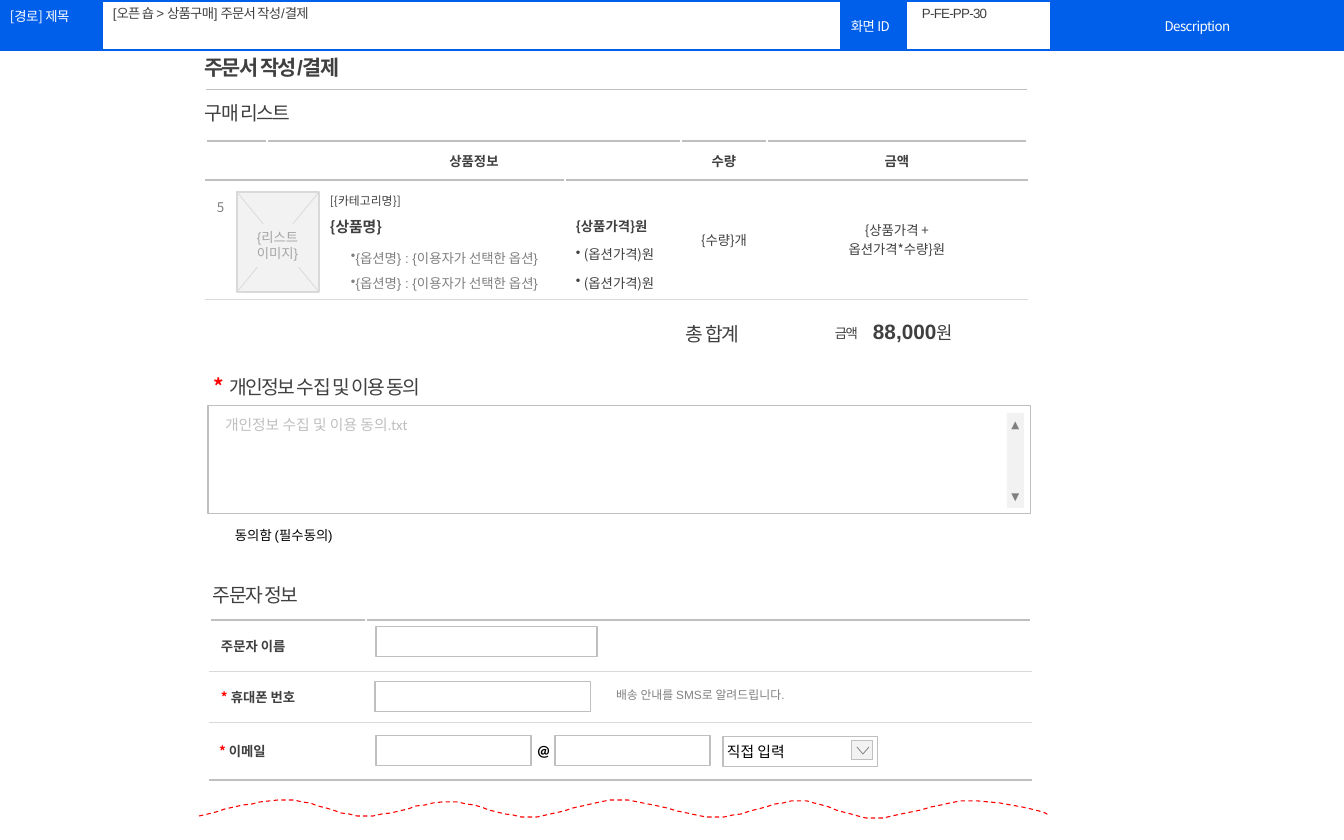
from lxml import etree
from pptx import Presentation
from pptx.dml.color import RGBColor
from pptx.enum.dml import MSO_LINE
from pptx.enum.shapes import MSO_CONNECTOR, MSO_SHAPE
from pptx.enum.text import MSO_ANCHOR, PP_ALIGN
from pptx.oxml.ns import qn
from pptx.util import Emu, Pt

PX = 8572.5
LEFT, CENTER = PP_ALIGN.LEFT, PP_ALIGN.CENTER
TOP, MIDDLE = MSO_ANCHOR.TOP, MSO_ANCHOR.MIDDLE
RECT, STRAIGHT = MSO_SHAPE.RECTANGLE, MSO_CONNECTOR.STRAIGHT
DASH = MSO_LINE.DASH
NOTO, ARIAL, CALIBRI = "Noto Sans CJK KR", "Arial", "Calibri"
INK = {"blue": "005FEA", "white": "FFFFFF", "black": "000000",
       "dark": "404040", "gray": "808080", "mute": "A6A6A6",
       "line": "BFBFBF", "pale": "D9D9D9", "fog": "F2F2F2", "red": "FF0000"}
PAD = (11, 5, 11, 5)
SLIM = (9, 0, 9, 0)
TIGHT = (4, 4, 4, 4)
WAVE = [(199, 816), (228, 809), (258, 800), (286, 800), (314, 800), (337, 816),
        (365, 816), (393, 816), (423, 801), (450, 802), (477, 802), (501, 817),
        (529, 817), (557, 817), (588, 800), (619, 800), (650, 800), (685, 817),
        (715, 817), (745, 817), (772, 801), (799, 801), (826, 801), (846, 818),
        (874, 818), (902, 818), (939, 801), (969, 801), (997, 801), (1056, 811),
        (1046, 816)]


def px(n):
    return Emu(round(n * PX))


def rgb(name):
    return RGBColor.from_string(INK[name])


def word(text, size=9, ink="dark", bold=False, face=NOTO, track=0):
    return dict(text=text, size=size, ink=ink, bold=bold, face=face, track=track)


def para(*words, align=LEFT, lead=None, before=0, after=0, dot=None):
    """Describe a paragraph; dot is the (margin, indent) of a bullet in px."""
    return dict(words=words, align=align, lead=lead, before=before,
                after=after, dot=dot)


def add_run(p, text, size, ink, bold, face, track):
    for i, part in enumerate(text.split("\n")):
        if i:
            p.add_line_break()
            etree.SubElement(p._p[-1], qn("a:rPr"), sz=str(size * 100))
        run = p.add_run()
        run.text = part
        font = run.font
        font.size, font.bold, font.name = Pt(size), bold, face
        font.color.rgb = rgb(ink)
        props = run._r.get_or_add_rPr()
        etree.SubElement(props, qn("a:ea"), typeface=NOTO)
        if track:
            props.set("spc", str(round(track * 100)))


def write(frame, paras):
    for i, item in enumerate(paras):
        p = frame.add_paragraph() if i else frame.paragraphs[0]
        p.alignment = item["align"]
        if item["lead"]:
            p.line_spacing = item["lead"]
        if item["before"]:
            p.space_before = Pt(item["before"])
        if item["after"]:
            p.space_after = Pt(item["after"])
        if item["dot"]:
            props = p._p.get_or_add_pPr()
            for key, n in zip(("marL", "indent"), item["dot"]):
                props.set(key, str(px(n)))
            etree.SubElement(props, qn("a:buChar"), char="•")
        for w in item["words"]:
            add_run(p, **w)


def set_pad(box, pad):
    box.margin_left, box.margin_top, box.margin_right, box.margin_bottom = map(px, pad)


def fill_frame(shape, paras, pad, anchor, wrap):
    frame = shape.text_frame
    frame.word_wrap, frame.vertical_anchor = wrap, anchor
    set_pad(frame, pad)
    write(frame, paras)


def label(slide, at, *paras, pad=PAD, anchor=TOP, wrap=True):
    fill_frame(slide.shapes.add_textbox(*map(px, at)), paras, pad, anchor, wrap)


def box(slide, at, *paras, fill="white", line="line", width=0.75, pad=TIGHT):
    shape = slide.shapes.add_shape(RECT, *map(px, at))
    shape.shadow.inherit = False
    shape.fill.solid()
    shape.fill.fore_color.rgb = rgb(fill)
    if line:
        shape.line.color.rgb = rgb(line)
        shape.line.width = Pt(width)
    else:
        shape.line.fill.background()
    if paras:
        fill_frame(shape, paras, pad, MIDDLE, False)


def rule(slide, ends, ink):
    line = slide.shapes.add_connector(STRAIGHT, *map(px, ends))
    line.line.color.rgb = rgb(ink)
    line.line.width = Pt(0.5)
    etree.SubElement(line._element.spPr, qn("a:effectLst"))


def trace(slide, points, ink, width, dash=None):
    pen = slide.shapes.build_freeform(*points[0], scale=PX)
    pen.add_line_segments(points[1:], close=False)
    shape = pen.convert_to_shape()
    shape.shadow.inherit = False
    shape.fill.background()
    shape.line.color.rgb = rgb(ink)
    shape.line.width = Pt(width)
    if dash:
        shape.line.dash_style = dash


def curve(knots, steps=10):
    """Sample a chain of cubic Bezier arcs."""
    points = [knots[0]]
    for i in range(0, len(knots) - 1, 3):
        for k in range(1, steps + 1):
            t = k / steps
            parts = ((1 - t) ** 3, 3 * t * (1 - t) ** 2, 3 * t * t * (1 - t), t ** 3)
            points.append(tuple(sum(c * q[axis] for c, q in zip(parts, knots[i:i + 4]))
                                for axis in (0, 1)))
    return points


def grid(slide, left, top, cols, rows):
    """Add a plain white table whose empty cells keep a small line height."""
    frame = slide.shapes.add_table(len(rows), len(cols), px(left), px(top),
                                   px(sum(cols)), px(sum(rows)))
    table = frame.table
    table.first_row = table.horz_banding = False
    for col, n in zip(table.columns, cols):
        col.width = px(n)
    for row, n in zip(table.rows, rows):
        row.height = px(n)
    for cell in table.iter_cells():
        etree.SubElement(cell.text_frame.paragraphs[0]._p, qn("a:endParaRPr"), sz="900")
        paint(cell, "white")
    return table


def paint(cell, ink):
    cell.fill.solid()
    cell.fill.fore_color.rgb = rgb(ink)


def edge(cell, **sides):
    """Draw cell borders, given in the order L, R, T, B as (ink, points)."""
    props = cell._tc.get_or_add_tcPr()
    for i, (side, (ink, width)) in enumerate(sides.items()):
        line = etree.Element(qn("a:ln" + side), w=str(Pt(width)))
        solid = etree.SubElement(line, qn("a:solidFill"))
        etree.SubElement(solid, qn("a:srgbClr"), val=INK[ink])
        props.insert(i, line)


def put(cell, *paras, pad=PAD, anchor=MIDDLE):
    cell.vertical_anchor = anchor
    set_pad(cell, pad)
    write(cell.text_frame, paras)


def head(slide):
    table = grid(slide, 0, 1, (102, 739, 65, 145, 293), (49,))
    side = ("blue", 1)
    for cell in table.iter_cells():
        edge(cell, L=side, R=side, T=side, B=side)
    for col, text, align, anchor in ((0, "[경로] 제목", LEFT, TOP), (2, "화면 ID", LEFT, MIDDLE),
                                     (4, "Description", CENTER, MIDDLE)):
        cell = table.cell(0, col)
        paint(cell, "blue")
        put(cell, para(word(text, ink="white", track=-0.4), align=align),
            pad=(10, 5, 10, 5), anchor=anchor)
    for at, text in (((911, 1, 138, 26), "P-FE-PP-30"),
                     ((102, 0, 737, 28), "[오픈 숍 > 상품구매] 주문서 작성/결제")):
        label(slide, at, para(word(text, face=ARIAL, track=-0.5), lead=0.9), anchor=MIDDLE)


def titles(slide):
    label(slide, (204, 55, 325, 26),
          para(word("주문서 작성/결제", 14, bold=True, face=ARIAL, track=-1)), pad=(0, 0, 0, 0))
    rule(slide, (206, 89, 1027, 89), "line")
    for at, text in (((196, 101, 416, 24), "구매 리스트"), ((204, 583, 163, 24), "주문자 정보")):
        label(slide, at, para(word(text, 13, track=-1)), pad=SLIM)


def goods(slide):
    table = grid(slide, 206, 141, (61, 298, 116, 86, 260), (39, 119))
    table.cell(0, 1).merge(table.cell(0, 2))
    for col in range(5):
        edge(table.cell(0, col), T=("line", 1), B=("line", 1))
        edge(table.cell(1, col), T=("line", 1), B=("pale", 0.5))
    for col, text in ((1, "상품정보"), (3, "수량"), (4, "금액")):
        put(table.cell(0, col), para(word(text, bold=True), align=CENTER))
    put(table.cell(1, 0), para(word("5", ink="gray")), pad=(11, 17, 11, 9), anchor=TOP)
    pick = word("{옵션명} : {이용자가 선택한 옵션}", ink="gray", face=ARIAL)
    put(table.cell(1, 1),
        para(word("[{카테고리명}]\n", 8), word("{상품명}", 10, bold=True), lead=1.3, after=4),
        para(pick, lead=1.3, after=4, dot=(13, 8)),
        para(pick, after=4, dot=(13, 8)), pad=(63, 5, 4, 5))
    cost = para(word("(옵션가격)원"), after=6, dot=(8, -8))
    put(table.cell(1, 2), para(word("{상품가격}원", bold=True), lead=2.5, after=6), cost, cost)
    for col, text in ((3, "{수량}개"), (4, "{상품가격 +\n옵션가격*수량}원")):
        put(table.cell(1, col), para(word(text), align=CENTER, after=3))


def thumb(slide):
    box(slide, (237, 192, 82, 100), fill="fog", line="pale", width=1)
    rule(slide, (237, 192, 319, 292), "pale")
    rule(slide, (319, 192, 237, 292), "pale")
    lines = [para(word(t, ink="mute", face=ARIAL), align=CENTER) for t in ("{리스트", "이미지}")]
    box(slide, (244, 224, 67, 43), *lines, fill="fog", line=None)


def total(slide):
    for at, words in (
            ((677, 322, 81, 23), [word("총 합계", 13, face=ARIAL, track=-1)]),
            ((864, 319, 116, 26), [word("88,000", 14, bold=True, face=ARIAL),
                                   word("원", 12, face=ARIAL)]),
            ((826, 325, 44, 16), [word("금액", face=ARIAL, track=-1)])):
        label(slide, at, para(*words), pad=SLIM)


def consent(slide):
    label(slide, (205, 374, 416, 26),
          para(word("* ", 14, "red", True), word("개인정보 수집 및 이용 동의", 13, track=-1)), pad=SLIM)
    box(slide, (208, 406, 823, 108))
    up, down = (word(t, 7, "gray", face=CALIBRI) for t in "▲▼")
    box(slide, (1007, 413, 17, 95), para(up, align=CENTER),
        para(down, align=CENTER, before=40), fill="fog", line=None)
    label(slide, (214, 411, 274, 29),
          para(word("개인정보 수집 및 이용 동의.txt", 10, "line", face=CALIBRI)))
    label(slide, (224, 522, 129, 27), para(word("동의함 (필수동의)", ink="black", face=ARIAL)))


def buyer(slide):
    table = grid(slide, 210, 620, (156, 665), (51, 51, 58))
    thin, thick = ("pale", 0.5), ("line", 1)
    lines = (thick, thin, thin, thick)
    for row, (star, text) in enumerate((("", "주문자 이름"), ("* ", "휴대폰 번호"), ("* ", "이메일"))):
        for col in (0, 1):
            edge(table.cell(row, col), T=lines[row], B=lines[row + 1])
        words = [word(star, ink="red", bold=True)] if star else []
        put(table.cell(row, 0), para(*words, word(text, bold=True), after=3),
            pad=(9, 9, 9, 9) if row == 2 else PAD)
    for at in ((376, 627, 221, 30), (375, 682, 216, 30),
               (376, 736, 155, 30), (555, 736, 155, 30)):
        box(slide, at)
    label(slide, (531, 734, 25, 33), para(word("@", 10.5, "black", True, CALIBRI), align=CENTER),
          pad=TIGHT, anchor=MIDDLE, wrap=False)
    box(slide, (723, 737, 155, 30), para(word("직접 입력", 10, "black", face=CALIBRI)))
    box(slide, (852, 741, 21, 19), fill="fog")
    trace(slide, [(857, 747), (863, 754), (869, 747)], "gray", 0.5)
    label(slide, (605, 683, 209, 26),
          para(word("배송 안내를 SMS로 알려드립니다.", 8, "gray", face=ARIAL)))


def main():
    deck = Presentation()
    deck.slide_width, deck.slide_height = px(1344), px(840)
    slide = deck.slides.add_slide(deck.slide_layouts[6])
    for part in (head, titles, goods, thumb, total, consent, buyer):
        part(slide)
    trace(slide, curve(WAVE), "red", 0.75, DASH)
    deck.save("out.pptx")


if __name__ == "__main__":
    main()
